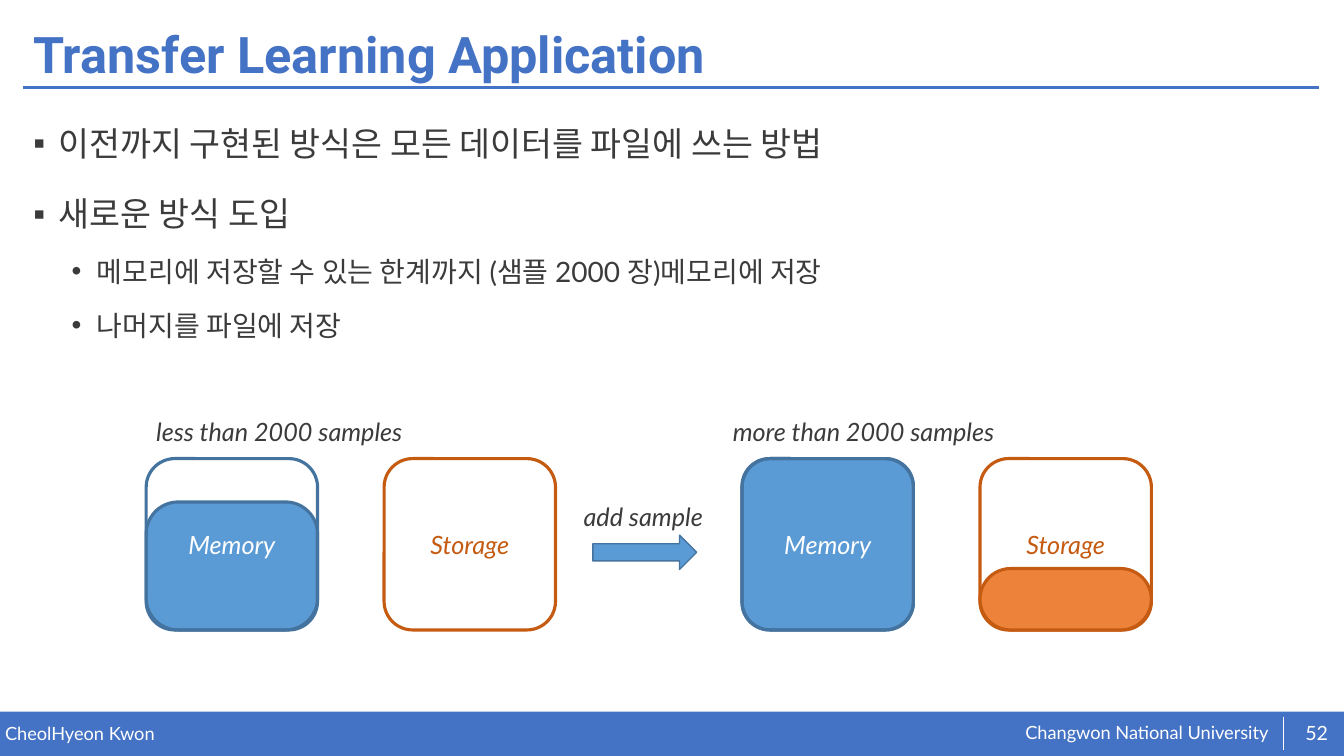
from dataclasses import dataclass
from typing import Optional

import lxml.etree
import pptx
import pptx.dml.color
import pptx.enum.shapes
import pptx.enum.text
import pptx.oxml.ns
import pptx.util

Inches = pptx.util.Inches
Pt = pptx.util.Pt
Shape = pptx.enum.shapes.MSO_SHAPE
Align = pptx.enum.text.PP_ALIGN
Anchor = pptx.enum.text.MSO_ANCHOR
qn = pptx.oxml.ns.qn

COLORS = {
    "theme": "4472C4",
    "text": "3B3B3B",
    "white": "FFFFFF",
    "memory": "5B9BD5",
    "memory line": "43739E",
    "storage": "ED833B",
    "storage line": "C55A11",
}
BOX_SIZE = 1.7
BOX_BOTTOM = 6.25
STORAGE_OFFSET = 2.36
CAPTION_TOP = 4.08


@dataclass
class Bullet:
    text: str
    level: int = 0


@dataclass
class Label:
    text: str
    left: float
    top: float
    width: float
    height: float
    size: float
    color: str
    italic: bool = False
    inset: bool = False
    centered: bool = False


@dataclass
class Rule:
    left: float
    top: float
    right: float
    bottom: float
    color: str
    weight: float


@dataclass
class Level:
    height: float
    corner: float


@dataclass
class Stage:
    left: float
    caption: Label
    memory: Level
    storage: Optional[Level] = None


BULLETS = [
    Bullet("이전까지 구현된 방식은 모든 데이터를 파일에 쓰는 방법"),
    Bullet("새로운 방식 도입"),
    Bullet("메모리에 저장할 수 있는 한계까지 (샘플 2000 장)메모리에 저장", 1),
    Bullet("나머지를 파일에 저장", 1),
]
FOOTER = [
    Label("Changwon National University", 10.17, 7.16, 2.67, 0.23, 13, "white"),
    Label("CheolHyeon Kwon", 0.05, 7.17, 6.55, 0.22, 13, "white"),
    Label("52", 12.82, 7.07, 0.48, 0.4, 14, "white", centered=True),
]
RULES = [
    Rule(0.23, 0.87, 13.08, 0.87, "theme", 2),
    Rule(12.73, 7.11, 12.73, 7.44, "white", 0.5),
]


def caption(text: str, left: float, top: float, width: float) -> Label:
    return Label(text, left, top, width, 0.4, 18, "text", italic=True, inset=True)


STAGES = [
    Stage(1.45, caption("less than 2000 samples", 1.45, CAPTION_TOP, 2.91),
          Level(1.27, 0.25)),
    Stage(7.36, caption("more than 2000 samples", 7.17, CAPTION_TOP, 3.16),
          Level(BOX_SIZE, 0.16), Level(0.61, 0.5)),
]


def rgb(color: str) -> pptx.dml.color.RGBColor:
    return pptx.dml.color.RGBColor.from_string(COLORS[color])


def style_paragraph(para, size: float, color: str, name: str = "Lato",
                    bold: bool = False, italic: bool = False) -> None:
    for span in para.runs:
        span.font.name = name
        span.font.size = Pt(size)
        span.font.bold = bold
        span.font.italic = italic
        span.font.color.rgb = rgb(color)


def place(shape, left: float, top: float, width: float, height: float) -> None:
    shape.left, shape.top = Inches(left), Inches(top)
    shape.width, shape.height = Inches(width), Inches(height)


def add_title(page, text: str) -> None:
    title = page.shapes.title
    place(title, 0.23, 0.18, 12.86, 0.77)
    frame = title.text_frame
    frame.text = text
    frame.auto_size = pptx.enum.text.MSO_AUTO_SIZE.NONE
    frame.vertical_anchor = Anchor.MIDDLE
    para = frame.paragraphs[0]
    para.alignment = Align.LEFT
    para.line_spacing = 0.9
    style_paragraph(para, 36, "theme", "Roboto", bold=True)


def add_bullets(page, bullets: list[Bullet]) -> None:
    body = page.placeholders[1]
    place(body, 0.23, 1.01, 12.86, 5.63)
    frame = body.text_frame
    frame.text = "\n".join(bullet.text for bullet in bullets)
    frame.auto_size = pptx.enum.text.MSO_AUTO_SIZE.NONE
    for index, (para, bullet) in enumerate(zip(frame.paragraphs, bullets)):
        para.level = bullet.level
        properties = para._p.get_or_add_pPr()
        properties.set("marL", str(Inches(0.63 if bullet.level else 0.25)))
        properties.set("indent", str(Inches(-0.25)))
        lxml.etree.SubElement(properties, qn("a:buFont")).set("typeface", "Arial")
        mark = lxml.etree.SubElement(properties, qn("a:buChar"))
        mark.set("char", "•" if bullet.level else "▪")
        para.line_spacing = 1.4
        para.space_before = Pt((5 if bullet.level else 10) if index else 0)
        para.space_after = Pt(0)
        style_paragraph(para, 20 if bullet.level else 24, "text")


def add_label(page, label: Label) -> None:
    box = page.shapes.add_textbox(Inches(label.left), Inches(label.top),
                                  Inches(label.width), Inches(label.height))
    frame = box.text_frame
    frame.word_wrap = True
    if not label.inset:
        frame.margin_left = frame.margin_right = 0
        frame.margin_top = frame.margin_bottom = 0
    frame.text = label.text
    para = frame.paragraphs[0]
    if label.centered:
        frame.vertical_anchor = Anchor.MIDDLE
        para.alignment = Align.CENTER
    style_paragraph(para, label.size, label.color, italic=label.italic)


def add_rule(page, rule: Rule) -> None:
    line = page.shapes.add_connector(
        pptx.enum.shapes.MSO_CONNECTOR.STRAIGHT, Inches(rule.left), Inches(rule.top),
        Inches(rule.right), Inches(rule.bottom))
    line.line.color.rgb = rgb(rule.color)
    line.line.width = Pt(rule.weight)
    lxml.etree.SubElement(line._element.spPr, qn("a:effectLst"))


def add_block(page, kind, left: float, top: float, width: float, height: float,
              fill: Optional[str] = None, line: Optional[str] = None,
              weight: float = 2.25):
    block = page.shapes.add_shape(kind, Inches(left), Inches(top),
                                  Inches(width), Inches(height))
    block.shadow.inherit = False
    if fill:
        block.fill.solid()
        block.fill.fore_color.rgb = rgb(fill)
    else:
        block.fill.background()
    if line:
        block.line.color.rgb = rgb(line)
        block.line.width = Pt(weight)
    else:
        block.line.fill.background()
    return block


def add_frame(page, left: float, text: str, line: str, color: str) -> None:
    frame = add_block(page, Shape.ROUNDED_RECTANGLE, left, BOX_BOTTOM - BOX_SIZE,
                      BOX_SIZE, BOX_SIZE, line=line)
    frame.text_frame.text = text
    frame.text_frame.vertical_anchor = Anchor.MIDDLE
    para = frame.text_frame.paragraphs[0]
    para.alignment = Align.CENTER
    style_paragraph(para, 18, color, italic=True)


def add_level(page, left: float, level: Level, fill: str) -> None:
    """Fill a container from its bottom up to the height of the level."""
    block = add_block(page, Shape.ROUNDED_RECTANGLE, left, BOX_BOTTOM - level.height,
                      BOX_SIZE, level.height, fill, f"{fill} line")
    block.adjustments[0] = level.corner


def add_stage(page, stage: Stage) -> None:
    storage_left = stage.left + STORAGE_OFFSET
    add_frame(page, storage_left, "Storage", "storage line", "storage line")
    add_level(page, stage.left, stage.memory, "memory")
    add_frame(page, stage.left, "Memory", "memory line", "white")
    add_label(page, stage.caption)
    if stage.storage:
        add_level(page, storage_left, stage.storage, "storage")


def main() -> None:
    deck = pptx.Presentation()
    deck.slide_width, deck.slide_height = Inches(13.33), Inches(7.5)
    page = deck.slides.add_slide(deck.slide_layouts[1])
    add_block(page, Shape.RECTANGLE, 0, 7.06, 13.33, 0.44, "theme")
    for label in FOOTER:
        add_label(page, label)
    for rule in RULES:
        add_rule(page, rule)
    add_title(page, "Transfer Learning Application")
    add_bullets(page, BULLETS)
    for stage in STAGES:
        add_stage(page, stage)
    add_block(page, Shape.RIGHT_ARROW, 5.88, 5.31, 1.03, 0.34,
              "memory", "memory line", 1)
    add_label(page, caption("add sample", 5.69, 4.92, 2.54))
    deck.save("out.pptx")


if __name__ == "__main__":
    main()
